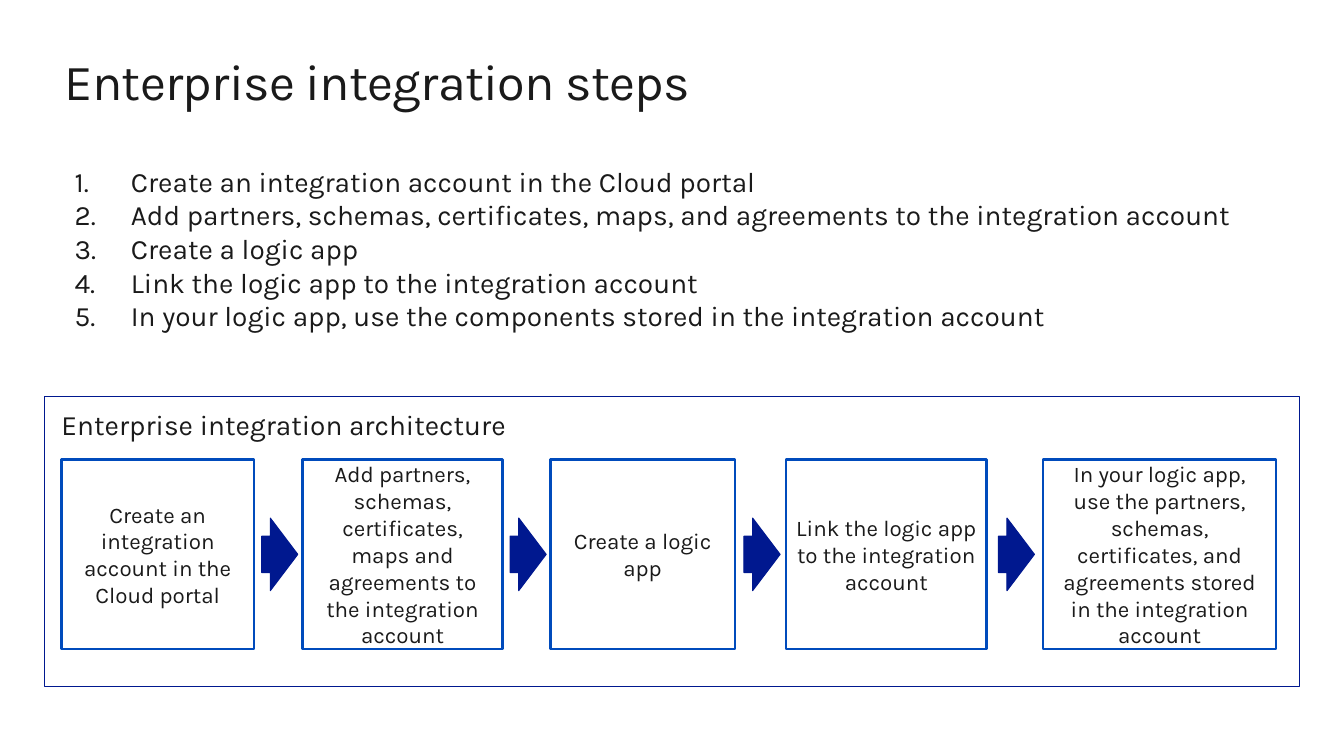
from lxml.etree import SubElement
from pptx import Presentation
from pptx.dml.color import RGBColor
from pptx.enum.shapes import MSO_SHAPE as Shape
from pptx.enum.text import MSO_ANCHOR as Anchor, PP_ALIGN as Align
from pptx.oxml.ns import qn
from pptx.util import Cm, Pt

COLORS = {"text": "1A1A1A", "box": "004BBC", "navy": "00188F"}
FONT = "Karla"

LIST_STEPS = [
    "Create an integration account in the Cloud portal",
    "Add partners, schemas, certificates, maps, and agreements to the integration account",
    "Create a logic app",
    "Link the logic app to the integration account",
    "In your logic app, use the components stored in the integration account",
]
# left, width (cm), text
FLOW_STEPS = [
    (1.55, 4.85, "Create an integration account in the Cloud portal"),
    (7.62, 5.05, "Add partners, schemas, certificates, maps and agreements "
                 "to the integration account"),
    (13.87, 4.65, "Create a logic app"),
    (19.81, 5.05, "Link the logic app to the integration account"),
    (26.29, 5.87, "In your logic app, use the partners, schemas, certificates, "
                  "and agreements stored in the integration account"),
]
FLOW_TOP, FLOW_HEIGHT = 11.58, 4.78
ARROW_WIDTH, ARROW_HEIGHT, ARROW_SHIFT = 0.91, 1.83, 0.04
LIST_INDENT = Cm(1.42)


def color(name):
    return RGBColor.from_string(COLORS[name])


def set_margins(frame, horizontal, vertical):
    frame.margin_left = frame.margin_right = Cm(horizontal)
    frame.margin_top = frame.margin_bottom = Cm(vertical)


def write(frame, text, size):
    """Fill the frame, one paragraph per line of text, in the slide's font."""
    frame.word_wrap = True
    frame.text = text
    for paragraph in frame.paragraphs:
        for run in paragraph.runs:
            run.font.name = FONT
            run.font.size = Pt(size)
            run.font.color.rgb = color("text")


def add_text(slide, left, top, width, height, text, size):
    frame = slide.shapes.add_textbox(Cm(left), Cm(top), Cm(width), Cm(height)).text_frame
    set_margins(frame, 0, 0)
    write(frame, text, size)
    return frame


def add_outline(slide, kind, left, top, width, height, line, weight):
    """Add an unfilled, shadowless preset shape."""
    shape = slide.shapes.add_shape(kind, Cm(left), Cm(top), Cm(width), Cm(height))
    shape.shadow.inherit = False
    shape.fill.background()
    shape.line.color.rgb = color(line)
    shape.line.width = Pt(weight)
    return shape


def add_step_box(slide, left, width, text):
    box = add_outline(slide, Shape.RECTANGLE, left, FLOW_TOP, width, FLOW_HEIGHT, "box", 1.75)
    frame = box.text_frame
    set_margins(frame, 0.25, 0.25)
    frame.vertical_anchor = Anchor.MIDDLE
    write(frame, text, 16)
    frame.paragraphs[0].alignment = Align.CENTER


def add_arrow(slide, gap_start, gap_end):
    left = (gap_start + gap_end - ARROW_WIDTH) / 2 + ARROW_SHIFT
    top = FLOW_TOP + (FLOW_HEIGHT - ARROW_HEIGHT) / 2
    arrow = add_outline(slide, Shape.RIGHT_ARROW, left, top,
                        ARROW_WIDTH, ARROW_HEIGHT, "navy", 0.75)
    arrow.adjustments[1] = 0.76
    arrow.fill.solid()
    arrow.fill.fore_color.rgb = color("navy")


def add_numbered_list(slide, left, top, width, height, items):
    frame = add_text(slide, left, top, width, height, "\n".join(items), 20)
    set_margins(frame, 0.25, 0.13)
    for paragraph in frame.paragraphs:
        properties = paragraph._p.get_or_add_pPr()
        properties.set("marL", str(LIST_INDENT))
        properties.set("indent", str(-LIST_INDENT))
        SubElement(properties, qn("a:buFont"), typeface="+mj-lt")
        SubElement(properties, qn("a:buAutoNum"), type="arabicPeriod")


def main():
    deck = Presentation()
    deck.slide_width, deck.slide_height = Cm(33.87), Cm(19.05)
    slide = deck.slides.add_slide(deck.slide_layouts[6])

    title = add_text(slide, 1.63, 1.27, 30.61, 1.55, "Enterprise integration steps", 36)
    title.paragraphs[0].runs[0].font._element.set("spc", "-50")

    for left, width, text in FLOW_STEPS:
        add_step_box(slide, left, width, text)
    for (left, width, _), (next_left, _, _) in zip(FLOW_STEPS, FLOW_STEPS[1:]):
        add_arrow(slide, left + width, next_left)
    add_text(slide, 1.55, 10.26, 14.2, 0.86, "Enterprise integration architecture", 20)
    add_outline(slide, Shape.RECTANGLE, 1.12, 9.98, 31.62, 7.32, "navy", 0.75)

    add_numbered_list(slide, 1.63, 4.01, 31.62, 4.52, LIST_STEPS)
    deck.save("out.pptx")


if __name__ == "__main__":
    main()
